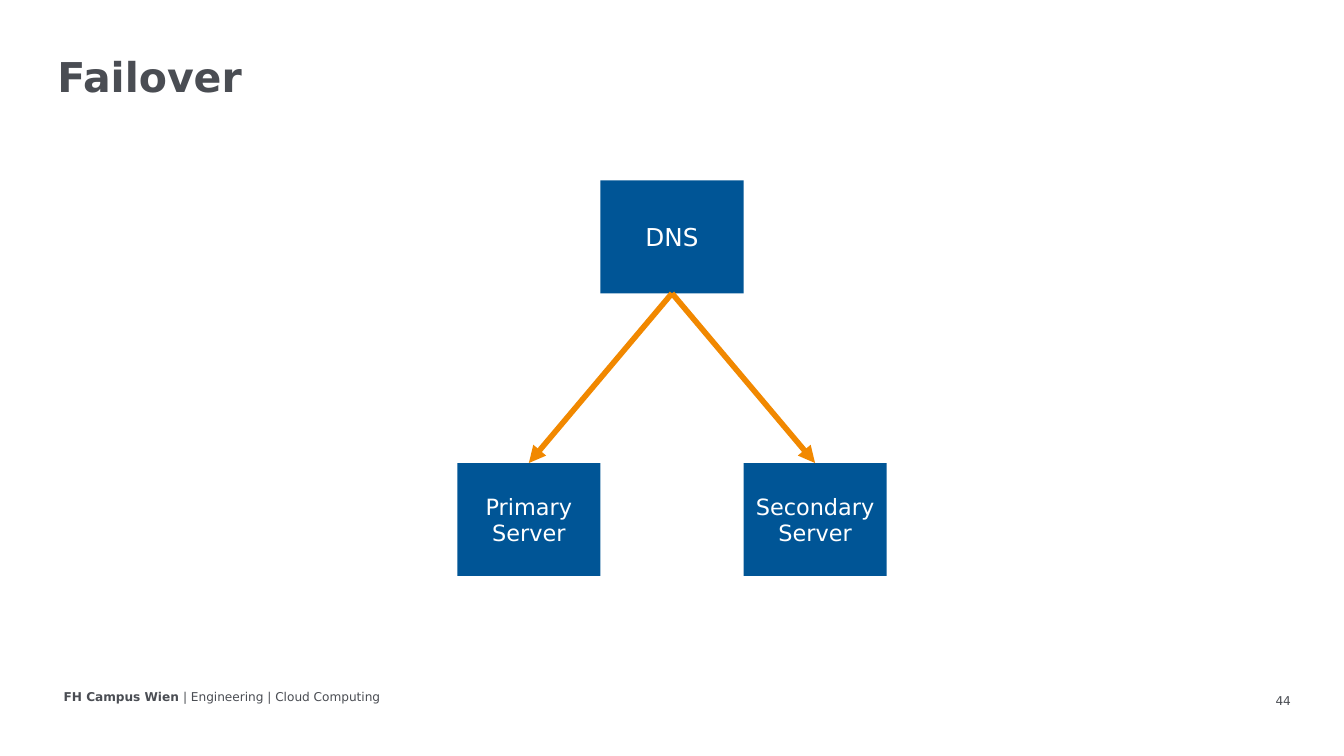
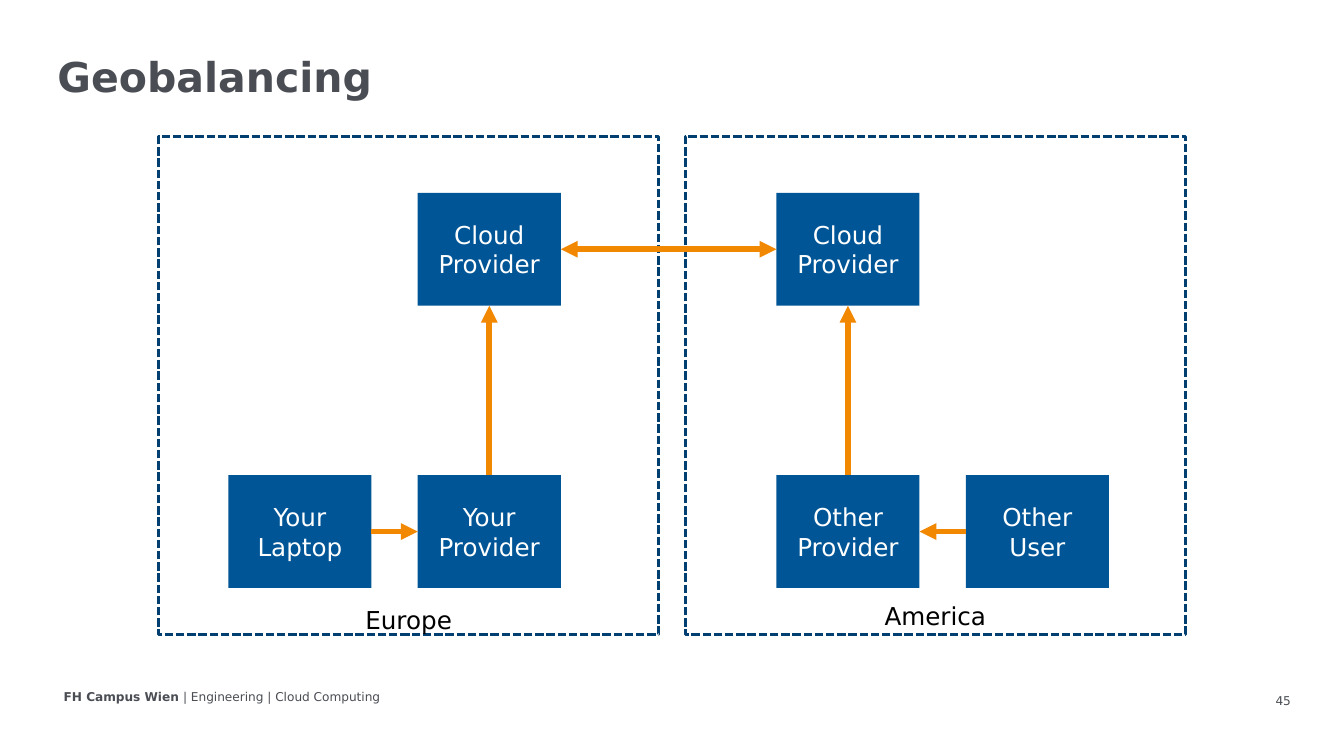
import pptx
import pptx.util
import pptx.dml.color
import pptx.enum.dml
import pptx.enum.shapes
import pptx.enum.text
import pptx.oxml.ns
from lxml import etree

Pt = pptx.util.Pt
ALIGN = pptx.enum.text.PP_ALIGN
ANCHOR = pptx.enum.text.MSO_ANCHOR

WIDE, HIGH = 1440.7, 810
BOX_W, BOX_H = 153.4, 121
TOP, LEFT, BOTTOM, RIGHT = range(4)  # connection sites of a rectangle
FONT = "DejaVu Sans"
COLORS = {
    "ink": "4A4D53",
    "box": "005596",
    "frame": "003F6F",
    "arrow": "F18800",
    "white": "FFFFFF",
    "black": "000000",
}


def color(name):
    return pptx.dml.color.RGBColor.from_string(COLORS[name])


def write(frame, text, size=26.4, tint="ink", bold=False, align=ALIGN.LEFT, space=None):
    """Append a run to the first paragraph of a text frame."""
    para = frame.paragraphs[0]
    para.alignment = align
    if space:
        para.line_spacing = space
    run = para.add_run()
    run.text = text
    run.font.name = FONT
    run.font.size = Pt(size)
    run.font.bold = bold
    run.font.color.rgb = color(tint)


class Deck:
    def __init__(self):
        self.show = pptx.Presentation()
        self.show.slide_width = Pt(WIDE)
        self.show.slide_height = Pt(HIGH)
        self.slide = None

    def page(self, title, number):
        """Start a slide with its title, footer and page number."""
        self.slide = self.show.slides.add_slide(self.show.slide_layouts[6])
        foot = self.area(61.2, 735.1, 488, 23)
        write(foot, "FH Campus Wien ", size=13, bold=True)
        write(foot, "| Engineering | Cloud Computing", size=13)
        count = self.area(1074.2, 735.1, 324, 30.2, pad=(14.4, 7.2))
        count.vertical_anchor = ANCHOR.MIDDLE
        write(count, str(number), size=13, align=ALIGN.RIGHT)
        head = self.area(56.9, 56.2, 1341.4, 55.4, pad=(4.7, 4.7))
        write(head, title, size=44, bold=True, space=0.9)

    def area(self, x, y, w, h, pad=(7.2, 3.6)):
        """Add a text box and return its text frame."""
        frame = self.slide.shapes.add_textbox(Pt(x), Pt(y), Pt(w), Pt(h)).text_frame
        frame.word_wrap = True
        frame.margin_left = frame.margin_right = Pt(pad[0])
        frame.margin_top = frame.margin_bottom = Pt(pad[1])
        return frame

    def rect(self, x, y, w, h):
        shape = self.slide.shapes.add_shape(
            pptx.enum.shapes.MSO_SHAPE.RECTANGLE, Pt(x), Pt(y), Pt(w), Pt(h))
        shape.shadow.inherit = False
        return shape

    def box(self, text, x, y, size=26.4):
        shape = self.rect(x, y, BOX_W, BOX_H)
        shape.fill.solid()
        shape.fill.fore_color.rgb = color("box")
        shape.line.fill.background()
        frame = shape.text_frame
        frame.word_wrap = True
        frame.vertical_anchor = ANCHOR.MIDDLE
        write(frame, text, size=size, tint="white", align=ALIGN.CENTER)
        return shape

    def region(self, name, x, drop):
        """Add a dashed frame with its name at height drop."""
        y, w, h, label = 146.2, 536.4, 533.5, 253.4
        shape = self.rect(x, y, w, h)
        shape.fill.background()
        shape.line.color.rgb = color("frame")
        shape.line.width = Pt(3)
        shape.line.dash_style = pptx.enum.dml.MSO_LINE.SQUARE_DOT
        frame = self.area(x + (w - label) / 2, drop, label, 38.9)
        write(frame, name, tint="black", align=ALIGN.CENTER)

    def arrow(self, start, out, end, into, both=False):
        """Join two boxes at the given connection sites."""
        line = self.slide.shapes.add_connector(
            pptx.enum.shapes.MSO_CONNECTOR.STRAIGHT, 0, 0, 0, 0)
        line.begin_connect(start, out)
        line.end_connect(end, into)
        line.line.color.rgb = color("arrow")
        line.line.width = Pt(6)
        stroke = line.line._get_or_add_ln()
        qn = pptx.oxml.ns.qn
        for tip in ("headEnd", "tailEnd") if both else ("tailEnd",):
            etree.SubElement(stroke, qn("a:" + tip), type="triangle")
        etree.SubElement(line._element.spPr, qn("a:effectLst"))


def failover(deck):
    deck.page("Failover", 44)
    mid = WIDE / 2
    low = 496.1
    first = deck.box("Primary Server", mid - 1.5 * BOX_W, low, size=24)
    dns = deck.box("DNS", mid - 0.5 * BOX_W, 193.3)
    second = deck.box("Secondary Server", mid + 0.5 * BOX_W, low, size=24)
    for server in (first, second):
        deck.arrow(dns, BOTTOM, server, TOP)


def balance(deck):
    deck.page("Geobalancing", 45)
    high, low, step = 206.6, 509, 203
    west, east = 447.8, 832.3
    deck.region("Europe", 169.9, 644.4)
    deck.region("America", 734.4, 640.8)
    clouds = []
    for x, host, guest, shift, out, into in (
        (west, "Your Provider", "Your Laptop", -step, RIGHT, LEFT),
        (east, "Other Provider", "Other User", step, LEFT, RIGHT),
    ):
        cloud = deck.box("Cloud Provider", x, high)
        local = deck.box(host, x, low)
        user = deck.box(guest, x + shift, low)
        deck.arrow(user, out, local, into)
        deck.arrow(local, TOP, cloud, BOTTOM)
        clouds.append(cloud)
    deck.arrow(clouds[1], LEFT, clouds[0], RIGHT, both=True)


def main():
    deck = Deck()
    failover(deck)
    balance(deck)
    deck.show.save("out.pptx")


if __name__ == "__main__":
    main()
